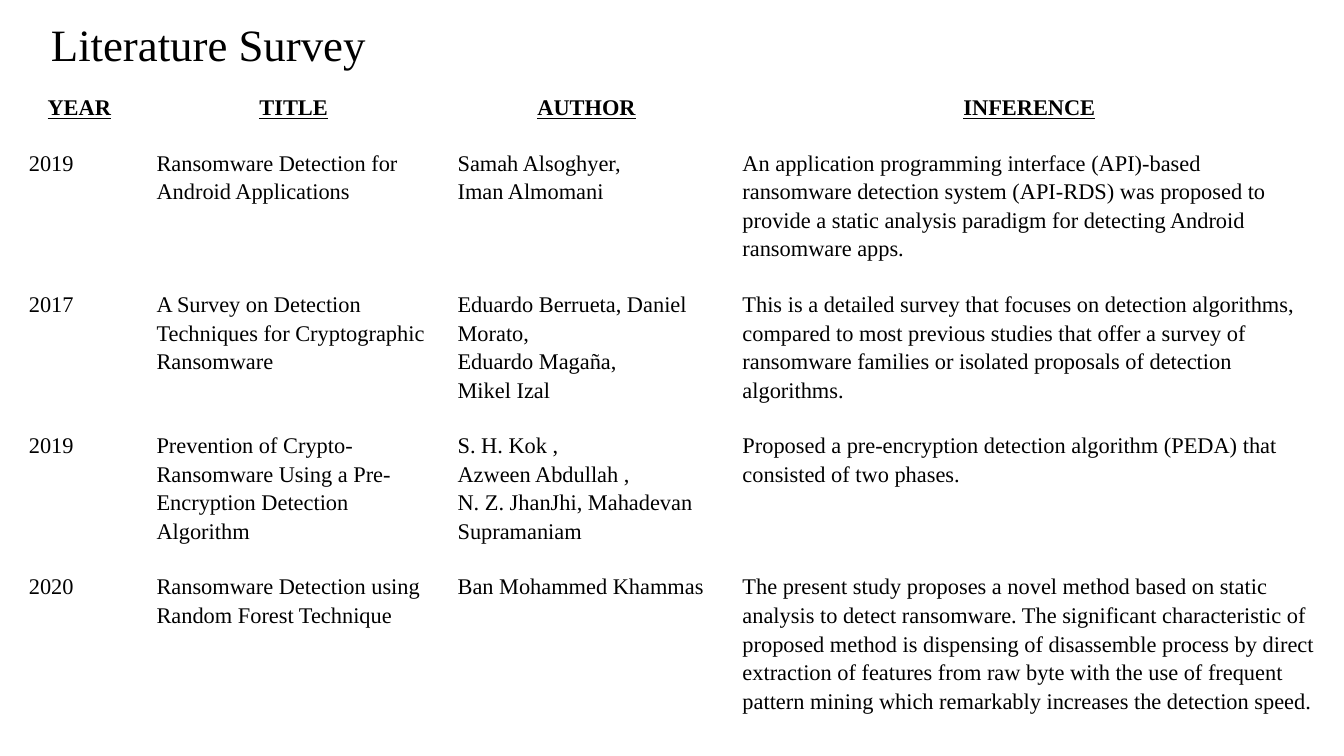
from pptx import Presentation
from pptx.dml.color import RGBColor
from pptx.enum.text import MSO_ANCHOR, MSO_AUTO_SIZE, PP_ALIGN
from pptx.util import Emu, Pt

CENTER, LEFT = PP_ALIGN.CENTER, PP_ALIGN.LEFT
MIDDLE, TOP = MSO_ANCHOR.MIDDLE, MSO_ANCHOR.TOP
NO_AUTOFIT = MSO_AUTO_SIZE.NONE
TITLE_ONLY = 5

# Content: each cell is a list of paragraphs
TITLE = "Literature Survey"
HEADINGS = ["YEAR", "TITLE", "AUTHOR", "INFERENCE"]
PAPERS = [
    (["2019"],
     ["Ransomware Detection for Android Applications"],
     ["Samah Alsoghyer,", "Iman Almomani"],
     ["An application programming interface (API)-based ransomware detection system "
      "(API-RDS) was proposed to provide a static analysis paradigm for detecting "
      "Android ransomware apps."]),
    (["2017"],
     ["A Survey on Detection Techniques for Cryptographic Ransomware"],
     ["Eduardo Berrueta, Daniel Morato,", "Eduardo Magaña,", "Mikel Izal"],
     ["This is a detailed survey that focuses on detection algorithms, compared to "
      "most previous studies that offer a survey of ransomware families or isolated "
      "proposals of detection algorithms."]),
    (["2019"],
     ["Prevention of Crypto-Ransomware Using a Pre-Encryption Detection Algorithm"],
     ["S. H. Kok ,", "Azween Abdullah ,", "N. Z. JhanJhi, Mahadevan Supramaniam"],
     ["Proposed a pre-encryption detection algorithm (PEDA) that consisted of two "
      "phases."]),
    (["2020"],
     ["Ransomware Detection using Random Forest Technique"],
     ["Ban Mohammed Khammas"],
     ["The present study proposes a novel method based on static analysis to detect "
      "ransomware. The significant characteristic of proposed method is dispensing of "
      "disassemble process by direct extraction of features from raw byte with the use "
      "of frequent pattern mining which remarkably increases the detection speed."]),
]

# Theme and layout, 200 px to the inch
THEME = {
    "font": "Times New Roman",
    "text": RGBColor(0, 0, 0),
    "title_size": Pt(24),
    "table_size": Pt(12),
    "line_spacing": 1.15,
}
SLIDE_SIZE = (2000, 1125)
TITLE_BOX = (23, 24, 574, 82)
TABLE_ORIGIN = (23, 117)
COLUMN_WIDTHS = [190, 448, 424, 894]
ROW_HEIGHTS = [74, 194, 194, 194, 272]
MARGIN = 20


def px(length):
    return Emu(length * 4572)


def set_margins(target):
    for side in ("left", "top", "right", "bottom"):
        setattr(target, f"margin_{side}", px(MARGIN))


def add_run(paragraph, text, size, heading=False):
    run = paragraph.add_run()
    run.text = text
    run.font.name = THEME["font"]
    run.font.size = size
    run.font.color.rgb = THEME["text"]
    run.font.bold = run.font.underline = heading


def fill_cell(cell, lines, heading):
    cell.fill.background()
    cell.vertical_anchor = TOP
    set_margins(cell)
    frame = cell.text_frame
    for index, line in enumerate(lines):
        paragraph = frame.add_paragraph() if index else frame.paragraphs[0]
        paragraph.alignment = CENTER if heading else LEFT
        paragraph.line_spacing = THEME["line_spacing"]
        add_run(paragraph, line, THEME["table_size"], heading)


def add_title(slide):
    title = slide.shapes.title
    title.left, title.top, title.width, title.height = map(px, TITLE_BOX)
    frame = title.text_frame
    frame.auto_size = NO_AUTOFIT
    frame.word_wrap = True
    frame.vertical_anchor = MIDDLE
    set_margins(frame)
    paragraph = frame.paragraphs[0]
    paragraph.alignment = CENTER
    add_run(paragraph, TITLE, THEME["title_size"])


def add_survey_table(slide):
    rows = [[[heading] for heading in HEADINGS], *PAPERS]
    size = (sum(COLUMN_WIDTHS), sum(ROW_HEIGHTS))
    table = slide.shapes.add_table(
        len(rows), len(HEADINGS), *map(px, TABLE_ORIGIN + size)).table
    table.first_row = table.horz_banding = False
    for column, width in zip(table.columns, COLUMN_WIDTHS):
        column.width = px(width)
    for row, height, contents in zip(table.rows, ROW_HEIGHTS, rows):
        row.height = px(height)
        for cell, lines in zip(row.cells, contents):
            fill_cell(cell, lines, heading=contents is rows[0])


def main():
    presentation = Presentation()
    presentation.slide_width, presentation.slide_height = map(px, SLIDE_SIZE)
    slide = presentation.slides.add_slide(presentation.slide_layouts[TITLE_ONLY])
    add_survey_table(slide)
    add_title(slide)
    presentation.save("out.pptx")


if __name__ == "__main__":
    main()
